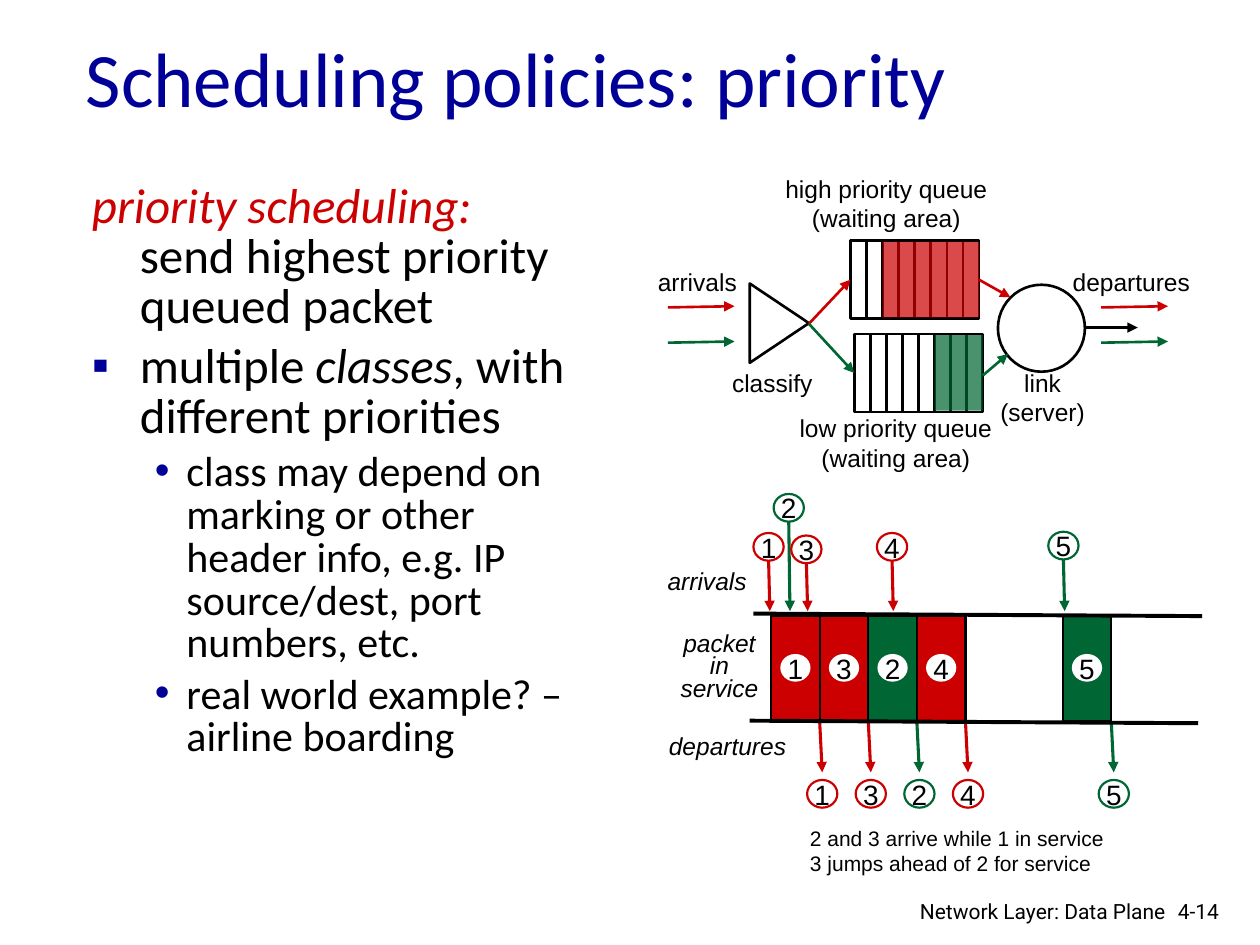
from dataclasses import dataclass

from lxml import etree
from pptx import Presentation
from pptx.dml.color import RGBColor
from pptx.enum import shapes, text
from pptx.oxml import ns
from pptx.util import Inches, Pt

BLACK, WHITE, RED, GREEN, NAVY = "000000", "FFFFFF", "CC0000", "006633", "000099"
LEFT, CENTER, RIGHT = text.PP_ALIGN.LEFT, text.PP_ALIGN.CENTER, text.PP_ALIGN.RIGHT
PACKET_COLORS = {1: RED, 2: GREEN, 3: RED, 4: RED, 5: GREEN}
CIRCLE_WIDTH, CIRCLE_HEIGHT = 0.24, 0.22


def color(hex_value):
    return RGBColor.from_string(hex_value)


def add_element(parent, tag, **attributes):
    return etree.SubElement(parent, ns.qn(tag), **attributes)


def style_font(font, size, name, hex_value, italic=False):
    font.size, font.name, font.italic = Pt(size), name, italic
    font.color.rgb = color(hex_value)


@dataclass
class Region:
    """Part of the page whose contents are placed from its top left corner."""
    page: object
    left: float
    top: float

    def shape(self, kind, x, y, width, height, fill=None, line=None, weight=1.5, alpha=None):
        item = self.page.shapes.add_shape(
            kind, Inches(self.left + x), Inches(self.top + y), Inches(width), Inches(height))
        item.shadow.inherit = False
        if fill:
            item.fill.solid()
            item.fill.fore_color.rgb = color(fill)
            if alpha:
                solid = item.fill._xPr.find(ns.qn("a:solidFill"))
                add_element(solid[0], "a:alpha", val=str(alpha * 1000))
        else:
            item.fill.background()
        if line:
            item.line.color.rgb = color(line)
            item.line.width = Pt(weight)
        else:
            item.line.fill.background()
        return item

    def line(self, x1, y1, x2, y2, hex_value=BLACK, weight=1.5, arrow=False):
        item = self.page.shapes.add_connector(
            shapes.MSO_CONNECTOR.STRAIGHT, Inches(self.left + x1), Inches(self.top + y1),
            Inches(self.left + x2), Inches(self.top + y2))
        item.line.color.rgb = color(hex_value)
        item.line.width = Pt(weight)
        if arrow:
            add_element(item.line._get_or_add_ln(), "a:tailEnd", type="triangle")
        add_element(item._element.spPr, "a:effectLst")

    def label(self, words, x, y, width, height=0.34, size=14, name="Arial",
              align=LEFT, italic=False, wrap=False):
        box = self.page.shapes.add_textbox(
            Inches(self.left + x), Inches(self.top + y), Inches(width), Inches(height))
        frame = box.text_frame
        frame.text = words
        frame.word_wrap = wrap
        for para in frame.paragraphs:
            para.alignment = align
            style_font(para.runs[0].font, size, name, BLACK, italic)
        return box


def add_title(page):
    title = page.shapes.title
    title.left, title.top, title.width, title.height = map(Inches, (0.58, -0.02, 8.5, 1.25))
    frame = title.text_frame
    frame.text = "Scheduling policies: priority"
    frame.auto_size = text.MSO_AUTO_SIZE.NONE
    frame.vertical_anchor = text.MSO_ANCHOR.MIDDLE
    para = frame.paragraphs[0]
    para.alignment = LEFT
    style_font(para.runs[0].font, 44, "Calibri", NAVY)


def set_bullet(para, character, margin, indent):
    properties = para._p.get_or_add_pPr()
    properties.set("marL", str(Inches(margin)))
    properties.set("indent", str(Inches(-indent)))
    if not character:
        add_element(properties, "a:buNone")
        return
    add_element(add_element(properties, "a:buClr"), "a:srgbClr", val=NAVY)
    add_element(properties, "a:buFont", typeface="Arial")
    add_element(properties, "a:buChar", char=character)


def add_body(page):
    body = page.placeholders[1]
    body.left, body.top, body.width, body.height = map(Inches, (0.63, 1.41, 4.05, 5.58))
    frame = body.text_frame
    frame.auto_size = text.MSO_AUTO_SIZE.NONE
    frame.margin_right = Inches(0.15)
    # level, bullet, spans as (words, colour, italic)
    items = [
        (0, None, [("priority scheduling: ", RED, True),
                   ("send highest priority queued packet", BLACK, False)]),
        (0, "▪", [("multiple ", BLACK, False), ("classes", BLACK, True),
                  (", with different priorities", BLACK, False)]),
        (1, "•", [("class may depend on marking or other header info, e.g. IP "
                   "source/dest, port numbers, etc.", BLACK, False)]),
        (1, "•", [("real world example? – airline boarding", BLACK, False)]),
    ]
    for index, (level, character, spans) in enumerate(items):
        para = frame.add_paragraph() if index else frame.paragraphs[0]
        size = (28, 24)[level]
        set_bullet(para, character, (0.38, 0.75)[level], (0.38, 0.25)[level])
        para.level = level
        para.line_spacing = 0.85
        para.space_before = Pt(size * 0.2 if index else 0)
        for words, hex_value, italic in spans:
            span = para.add_run()
            span.text = words
            style_font(span.font, size, "Calibri", hex_value, italic)


def add_queue(region, x, y, filled, hex_value):
    """Draw a queue of eight places, the last ones filled."""
    width, height, places = 1.02, 0.62, 8
    pitch = width / places
    region.shape(shapes.MSO_SHAPE.RECTANGLE, x, y, width, height, line=BLACK)
    for place in range(1, places):
        region.line(x + place * pitch, y, x + place * pitch, y + height)
    region.shape(shapes.MSO_SHAPE.RECTANGLE, x + (places - filled) * pitch, y + 0.01,
                 filled * pitch, 0.6, fill=hex_value, alpha=71)


def add_queue_diagram(region):
    add_queue(region, 1.68, 1.35, 3, GREEN)
    add_queue(region, 1.65, 0.61, 6, RED)
    classifier = region.shape(shapes.MSO_SHAPE.ISOSCELES_TRIANGLE, 0.77, 1.03, 0.63, 0.47, line=BLACK)
    classifier.rotation = 90
    region.shape(shapes.MSO_SHAPE.OVAL, 2.82, 0.96, 0.69, 0.69, line=BLACK)
    for x in (0.2, 3.64):
        region.line(x, 1.14, x + 0.53, 1.13, RED, arrow=True)
        region.line(x, 1.42, x + 0.53, 1.41, GREEN, arrow=True)
    for x1, y1, x2, y2, hex_value in [
            (1.32, 1.27, 1.65, 0.92, RED), (1.32, 1.27, 1.68, 1.66, GREEN),
            (2.67, 0.92, 2.92, 1.06, RED), (2.7, 1.68, 2.9, 1.51, GREEN),
            (3.5, 1.3, 3.93, 1.3, BLACK)]:
        region.line(x1, y1, x2, y2, hex_value, arrow=True)
    for words, x, y, width, height in [
            ("high priority queue\n(waiting area)", 1.0, 0.03, 1.87, 0.57),
            ("low priority queue\n(waiting area)", 1.14, 1.93, 1.74, 0.57),
            ("arrivals", 0.02, 0.77, 0.83, 0.34), ("classify", 0.6, 1.57, 0.86, 0.34),
            ("departures", 3.31, 0.77, 1.14, 0.34), ("link\n(server)", 2.71, 1.57, 0.93, 0.57)]:
        region.label(words, x, y, width, height, align=CENTER)


def add_number(region, number, center, top, line=None):
    circle = region.shape(shapes.MSO_SHAPE.OVAL, center - CIRCLE_WIDTH / 2, top,
                          CIRCLE_WIDTH, CIRCLE_HEIGHT, WHITE, line, 1.25)
    frame = circle.text_frame
    frame.text = str(number)
    frame.word_wrap = False
    frame.margin_left = frame.margin_right = frame.margin_top = frame.margin_bottom = 0
    frame.vertical_anchor = text.MSO_ANCHOR.MIDDLE
    frame.paragraphs[0].alignment = CENTER
    style_font(frame.paragraphs[0].runs[0].font, 16, "Arial", BLACK)


def add_timeline(region):
    first, pitch = 0.92, 2.7 / 7
    for number, slot in [(1, 0), (3, 1), (2, 2), (4, 3), (5, 6)]:
        hex_value = PACKET_COLORS[number]
        start = first + slot * pitch
        end = start + pitch
        region.shape(shapes.MSO_SHAPE.RECTANGLE, start, 0.99, pitch, 0.83, hex_value, BLACK, 1.25)
        add_number(region, number, start + pitch / 2, 1.29)
        region.line(end, 1.83, end + 0.02, 2.23, hex_value, 1.75, arrow=True)
        add_number(region, number, end + 0.02, 2.29, hex_value)
    for number, center, top in [(1, 0.9, 0.33), (2, 1.06, 0.02), (3, 1.2, 0.35),
                                (4, 1.88, 0.33), (5, 3.24, 0.32)]:
        hex_value = PACKET_COLORS[number]
        region.line(center, top + CIRCLE_HEIGHT, center + 0.01, 0.95, hex_value, 1.75, arrow=True)
        add_number(region, number, center, top, hex_value)
    region.line(0.78, 0.97, 4.34, 0.99, weight=2.25)
    region.line(0.75, 1.82, 4.31, 1.84, weight=2.25)
    region.label("arrivals", 0, 0.54, 0.88, italic=True)
    region.label("departures", 0.01, 1.85, 1.19, italic=True)
    service = region.label("packet in service", 0.04, 1.09, 0.94, 0.65,
                           align=CENTER, italic=True, wrap=True)
    service.text_frame.paragraphs[0].line_spacing = Pt(12.8)
    region.label("2 and 3 arrive while 1 in service\n3 jumps ahead of 2 for service",
                 1.13, 2.6, 2.55, 0.5, size=12)


def add_footer(region):
    region.label("Network Layer: Data Plane", 0, 0, 2.38, 0.26, 12, "Roboto", RIGHT, wrap=True)
    region.label("4-14", 2.28, 0, 0.61, 0.3, 12, "Roboto", wrap=True)


def main():
    deck = Presentation()
    deck.slide_width, deck.slide_height = Inches(10), Inches(7.5)
    page = deck.slides.add_slide(deck.slide_layouts[1])
    add_title(page)
    add_body(page)
    add_queue_diagram(Region(page, 5.1, 1.3))
    add_timeline(Region(page, 5.2, 3.9))
    add_footer(Region(page, 6.97, 7.08))
    deck.save("out.pptx")


if __name__ == "__main__":
    main()
